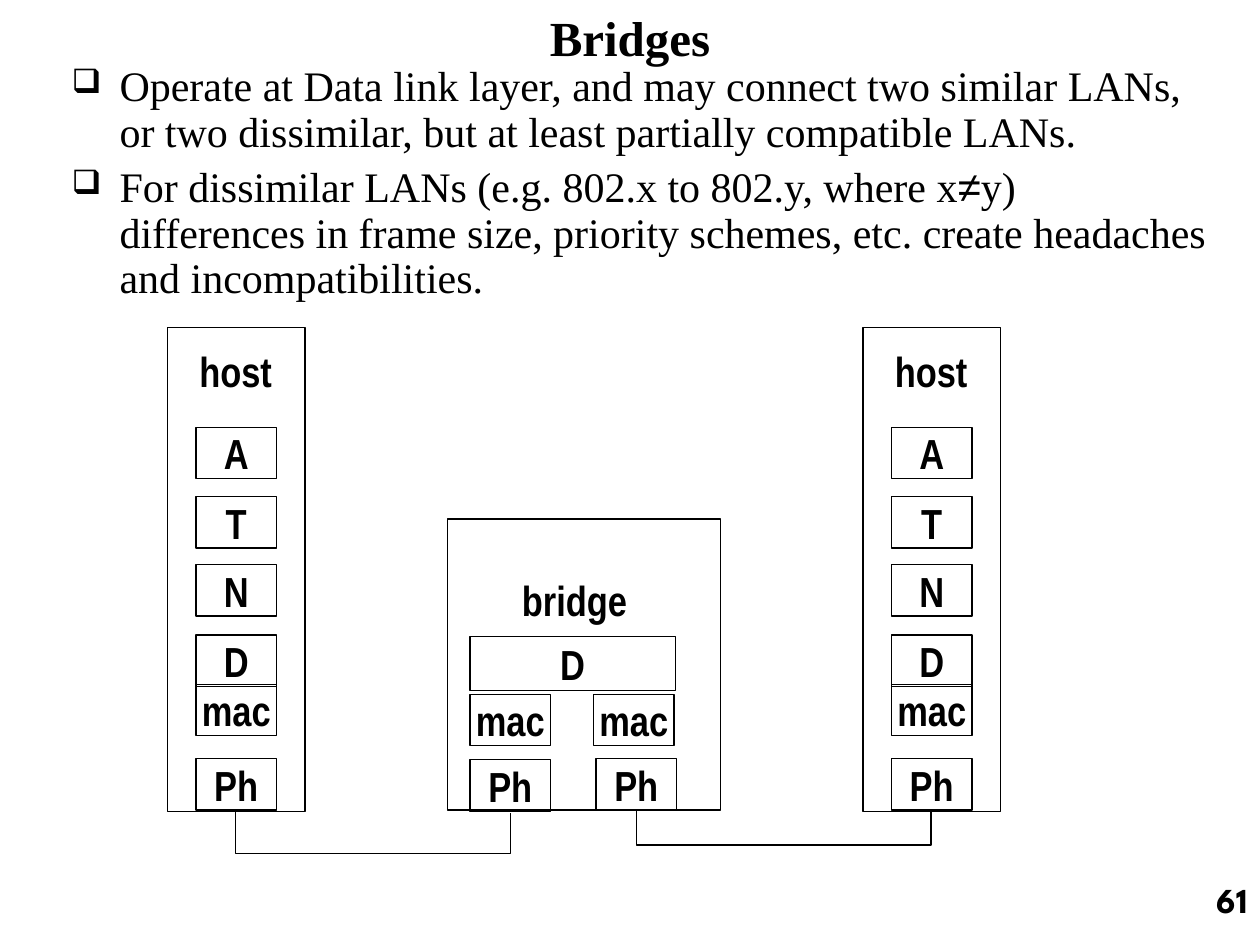
import pptx
import pptx.dml.color
import pptx.enum.shapes
import pptx.enum.text
import pptx.oxml.ns
import pptx.util
from lxml import etree

Inches = pptx.util.Inches
Pt = pptx.util.Pt
ALIGN = pptx.enum.text.PP_ALIGN
ANCHOR = pptx.enum.text.MSO_ANCHOR
qn = pptx.oxml.ns.qn
BLACK = pptx.dml.color.RGBColor(0, 0, 0)
SERIF = "Times New Roman"
NARROW = "Arial Narrow"

TITLE = "Bridges"
PAGE_NUMBER = "61"
BULLETS = [
    [("Operate at Data link layer, and may connect two similar LANs,\n"
      "or two dissimilar, but at least partially compatible LANs.", SERIF)],
    [("For dissimilar LANs (e.g. 802.x to 802.y, where x", SERIF),
     ("≠", "Arial"),
     ("y)\ndifferences in frame size, priority schemes, etc. create headaches\n"
      "and incompatibilities.", SERIF)],
]

BOX_WIDTH, BOX_HEIGHT = 0.64, 0.41
HOST_LEFTS = [1.33, 6.85]
HOST_TOP, HOST_WIDTH, HOST_HEIGHT = 2.6, 1.09, 3.84
HOST_LAYERS = [("A", 3.39), ("T", 3.94), ("N", 4.48),
               ("D", 5.04), ("mac", 5.43), ("Ph", 6.02)]
BRIDGE_FRAME = (3.55, 4.12, 2.17, 2.31)
BRIDGE_LAYERS = [
    ("D", 3.73, 5.05, 1.63, 0.43),
    ("mac", 3.73, 5.51, BOX_WIDTH, BOX_HEIGHT),
    ("mac", 4.71, 5.51, BOX_WIDTH, BOX_HEIGHT),
    ("Ph", 3.73, 6.03, BOX_WIDTH, BOX_HEIGHT),
    ("Ph", 4.73, 6.02, BOX_WIDTH, BOX_HEIGHT),
]
LABELS = [("host", 1.58, 2.74, 0.58), ("bridge", 4.14, 4.56, 0.84),
          ("host", 7.1, 2.74, 0.58)]
LINKS = [(1.87, 4.05, 6.44, 0.34), (5.05, 7.39, 6.43, 0.28)]
LINK_DEPTH = 0.01


def place(left, top, width, height):
    return Inches(left), Inches(top), Inches(width), Inches(height)


def write(paragraph, text, *, font, size=24, bold=False, align=ALIGN.CENTER):
    paragraph.alignment = align
    for index, line in enumerate(text.split("\n")):
        if index:
            paragraph.add_line_break()
        run = paragraph.add_run()
        run.text = line
        run.font.name = font
        run.font.size = Pt(size)
        run.font.bold = bold
        run.font.color.rgb = BLACK


def write_label(frame, text):
    frame.margin_left = frame.margin_right = 0
    frame.margin_top = frame.margin_bottom = 0
    frame.vertical_anchor = ANCHOR.MIDDLE
    frame.word_wrap = False
    write(frame.paragraphs[0], text, font=NARROW, bold=True)


def add_box(slide, bounds, text=""):
    shape = slide.shapes.add_shape(
        pptx.enum.shapes.MSO_SHAPE.RECTANGLE, *place(*bounds))
    shape.shadow.inherit = False
    shape.fill.background()
    shape.line.color.rgb = BLACK
    shape.line.width = Pt(0.75)
    if text:
        write_label(shape.text_frame, text)


def add_link(slide, left, right, top, drop):
    span = right - left
    local_left = (left + right - LINK_DEPTH) / 2
    local_top = top + (LINK_DEPTH - span) / 2
    connector = slide.shapes.add_connector(
        pptx.enum.shapes.MSO_CONNECTOR.ELBOW,
        Inches(local_left), Inches(local_top),
        Inches(local_left + LINK_DEPTH), Inches(local_top + span))
    connector.line.color.rgb = BLACK
    connector.line.width = Pt(0.75)
    properties = connector._element.spPr
    etree.SubElement(properties, qn("a:effectLst"))
    transform = properties.find(qn("a:xfrm"))
    transform.set("rot", str(270 * 60000))
    transform.set("flipH", "1")
    adjustments = properties.find(qn("a:prstGeom")).find(qn("a:avLst"))
    guide = etree.SubElement(adjustments, qn("a:gd"))
    guide.set("name", "adj1")
    guide.set("fmla", f"val {round(drop / LINK_DEPTH * 100000)}")


def add_bullet(paragraph):
    properties = paragraph._p.get_or_add_pPr()
    properties.set("marL", str(Inches(0.38)))
    properties.set("indent", str(-Inches(0.38)))
    color = etree.SubElement(properties, qn("a:buClr"))
    etree.SubElement(color, qn("a:srgbClr")).set("val", str(BLACK))
    etree.SubElement(properties, qn("a:buSzPct")).set("val", "80000")
    etree.SubElement(properties, qn("a:buChar")).set("char", "❑")


def add_body(slide):
    frame = slide.shapes.add_textbox(*place(0.47, 0.47, 9.25, 3.32)).text_frame
    frame.word_wrap = True
    for index, parts in enumerate(BULLETS):
        paragraph = frame.add_paragraph() if index else frame.paragraphs[0]
        add_bullet(paragraph)
        paragraph.line_spacing = 0.9
        paragraph.space_before = Pt(6 if index else 0)
        for text, font in parts:
            write(paragraph, text, font=font, align=ALIGN.LEFT)


def main():
    presentation = pptx.Presentation()
    presentation.slide_width = Inches(10)
    presentation.slide_height = Inches(7.5)
    slide = presentation.slides.add_slide(presentation.slide_layouts[5])

    title = slide.shapes.title
    title.left, title.top, title.width, title.height = place(0.75, 0, 8.5, 0.58)
    title.text_frame.vertical_anchor = ANCHOR.MIDDLE
    write(title.text_frame.paragraphs[0], TITLE, font=SERIF, size=28, bold=True)
    add_body(slide)

    for left in HOST_LEFTS:
        add_box(slide, (left, HOST_TOP, HOST_WIDTH, HOST_HEIGHT))
        box_left = left + (HOST_WIDTH - BOX_WIDTH) / 2
        for text, top in HOST_LAYERS:
            add_box(slide, (box_left, top, BOX_WIDTH, BOX_HEIGHT), text)
    add_box(slide, BRIDGE_FRAME)
    for text, *bounds in BRIDGE_LAYERS:
        add_box(slide, bounds, text)
    for text, left, top, width in LABELS:
        label = slide.shapes.add_textbox(*place(left, top, width, 0.4))
        write_label(label.text_frame, text)
    for link in LINKS:
        add_link(slide, *link)

    number = slide.shapes.add_textbox(*place(7.92, 6.92, 2.08, 0.5)).text_frame
    number.word_wrap = True
    write(number.paragraphs[0], PAGE_NUMBER, font="League Spartan", size=20,
          bold=True, align=ALIGN.RIGHT)
    presentation.save("out.pptx")


if __name__ == "__main__":
    main()
